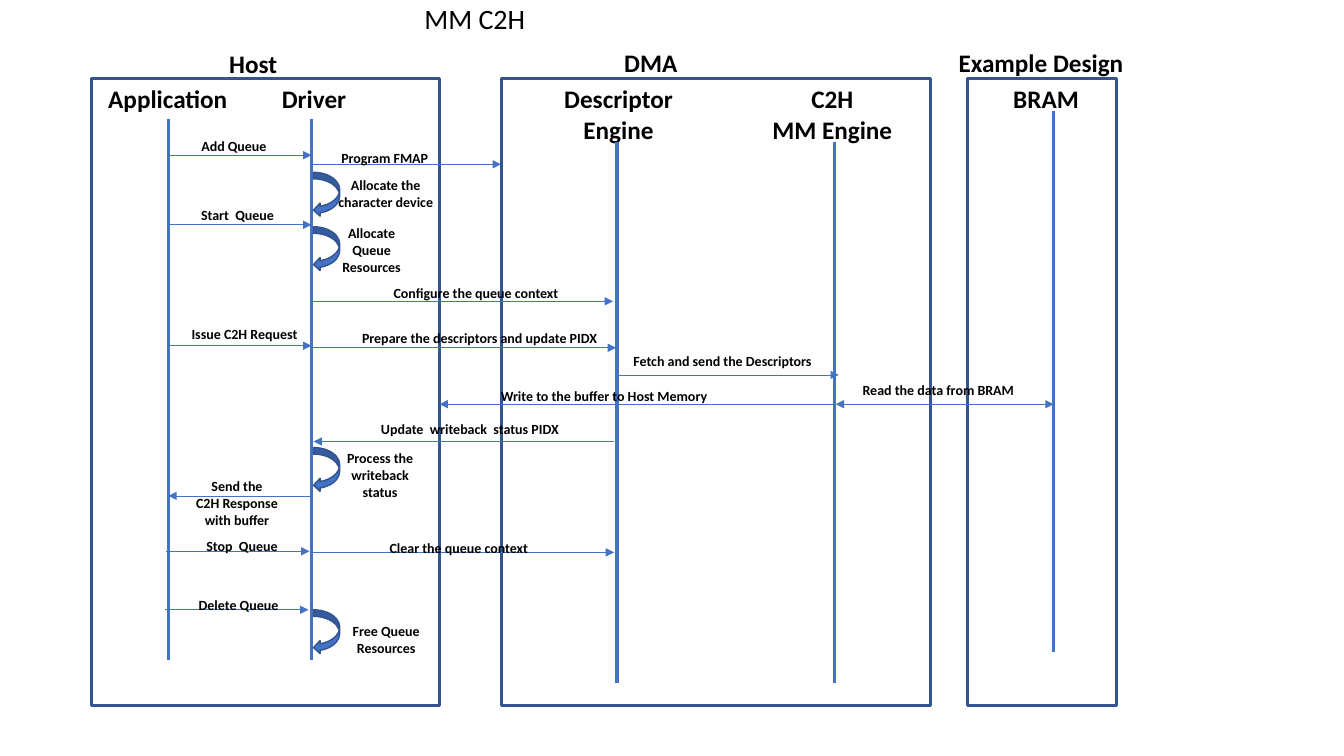
from pptx import Presentation
from pptx.dml.color import RGBColor as Rgb
from pptx.enum.shapes import MSO_CONNECTOR as Conn, MSO_SHAPE as Shape
from pptx.enum.text import MSO_AUTO_SIZE as Fit, PP_ALIGN as Align
from pptx.oxml.ns import qn
from pptx.util import Inches, Pt
from lxml.etree import SubElement as Sub

HUES = {"paper": "FFFFFF", "frame": "325491", "line": "4472C4", "ink": "000000"}
PITCH = {10: 0.17, 18: 0.31, 20: 0.34}
PAD = 0.1

TITLE = ("MM C2H", 4.11, -0.03, 1.38)

FRAME_TOP, FRAME_HIGH = 0.78, 6.22
FRAMES = [
    ("Example Design", 9.6, 1.47, (9.35, 0.42, 1.95)),
    ("Host", 0.91, 3.45, (2.07, 0.43, 0.88)),
    ("DMA", 4.97, 4.26, (5.62, 0.42, 1.67)),
]

LIFE_HIGH = 5.37
LIVES = [
    ("Application", 0.83, 1.67, 1, 1.67, 1.18),
    ("Driver", 2.28, 1.67, 1, 3.09, 1.18),
    ("Descriptor Engine", 5.3, 1.67, 2, 6.12, 1.41),
    ("C2H\nMM Engine", 7.29, 1.93, 2, 8.28, 1.41),
    ("BRAM", 9.41, 1.93, 1, 10.45, 1.1),
]

CALLS = [
    ("Add Queue", 1.88, 1.32, 0.88, 1, (1.67, 3.09, 1.54), "tail"),
    ("Program FMAP", 3.24, 1.43, 1.15, 1, (3.07, 4.97, 1.63), "tail"),
    ("Start  Queue", 1.76, 2, 1.19, 1, (1.67, 3.09, 2.23), "tail"),
    ("Configure the queue context", 3.69, 2.77, 2.06, 1, (3.08, 6.08, 2.99), "tail"),
    ("Issue C2H Request", 1.76, 3.18, 1.33, 1, (1.67, 3.09, 3.43), "tail"),
    ("Prepare the descriptors and update PIDX", 3.41, 3.22, 2.69, 1,
     (3.1, 6.11, 3.45), "tail"),
    ("Fetch and send the Descriptors", 6.09, 3.45, 2.15, 1, (6.13, 8.32, 3.72), "tail"),
    ("Write to the buffer to Host Memory", 4.63, 3.8, 2.72, 1,
     (8.26, 4.36, 4.01), "tail"),
    ("Read the data from BRAM", 8.23, 3.74, 2.15, 1, (8.29, 10.45, 4.01), "head tail"),
    ("Update  writeback  status PIDX", 3.56, 4.12, 2.2, 1, (6.09, 3.11, 4.38), "tail"),
    ("Send the\nC2H Response\nwith buffer", 1.69, 4.69, 1.32, 3,
     (3.09, 1.67, 4.92), "tail"),
    ("Stop  Queue", 1.85, 5.28, 1.1, 1, (1.65, 3.07, 5.47), "tail"),
    ("Clear the queue context", 3.72, 5.3, 1.66, 1, (3.09, 6.09, 5.48), "tail"),
    ("Delete Queue", 1.84, 5.87, 1.05, 1, (1.64, 3.06, 6.05), "tail"),
]

LOOP_LEFT, LOOP_WIDE, LOOP_HIGH = 3.11, 0.26, 0.44
LOOPS = [
    ("Allocate the character device", 3.25, 1.7, 1.15, 2, 1.71),
    ("Allocate Queue Resources", 3.26, 2.18, 0.85, 3, 2.25),
    ("Process the writeback status", 3.33, 4.41, 0.88, 3, 4.44),
    ("Free Queue Resources", 3.39, 6.13, 0.88, 2, 6.05),
]


def hue(name):
    """Return the named colour."""
    return Rgb.from_string(HUES[name])


def block(slide, kind, box, fill, width):
    """Draw a filled and outlined shape."""
    shape = slide.shapes.add_shape(kind, *map(Inches, box))
    shape.shadow.inherit = False
    shape.fill.solid()
    shape.fill.fore_color.rgb = hue(fill)
    shape.line.color.rgb = hue("frame")
    shape.line.width = Pt(width)


def label(slide, text, left, top, width, rows=1, size=10, bold=True, align=Align.CENTER):
    """Write a text box that is as tall as its rows."""
    high = PAD + rows * PITCH[size]
    box = slide.shapes.add_textbox(*map(Inches, (left, top, width, high)))
    frame = box.text_frame
    frame.word_wrap = True
    frame.auto_size = Fit.SHAPE_TO_FIT_TEXT
    frame.text = text
    style = {"name": "Calibri", "size": Pt(size), "bold": bold}
    for para in frame.paragraphs:
        para.alignment = align
        for run in para.runs:
            for key, value in style.items():
                setattr(run.font, key, value)
            run.font.color.rgb = hue("ink")


def stroke(slide, start, end, width, tips=""):
    """Draw a straight line with optional arrow tips."""
    line = slide.shapes.add_connector(Conn.STRAIGHT, *map(Inches, start + end))
    line.line.color.rgb = hue("line")
    line.line.width = Pt(width)
    for tip in tips.split():
        Sub(line.line._get_or_add_ln(), qn(f"a:{tip}End"), type="triangle")
    Sub(line._element.spPr, qn("a:effectLst"))


def main():
    """Build the sequence diagram."""
    deck = Presentation()
    deck.slide_width, deck.slide_height = Inches(13.33), Inches(7.5)
    slide = deck.slides.add_slide(deck.slide_layouts[6])

    for name, left, wide, spot in FRAMES:
        box = (left, FRAME_TOP, wide, FRAME_HIGH)
        block(slide, Shape.RECTANGLE, box, "paper", 2.25)
        label(slide, name, *spot, size=18)
    for name, left, wide, rows, x, top in LIVES:
        label(slide, name, left, FRAME_TOP, wide, rows, size=18)
        stroke(slide, (x, top), (x, top + LIFE_HIGH), 2.25)
    for *spot, (start, end, y), tips in CALLS:
        stroke(slide, (start, y), (end, y), 0.5, tips)
        label(slide, *spot)
    for *spot, top in LOOPS:
        box = (LOOP_LEFT, top, LOOP_WIDE, LOOP_HIGH)
        block(slide, Shape.CURVED_LEFT_ARROW, box, "line", 1)
        label(slide, *spot)
    label(slide, *TITLE, size=20, bold=False, align=Align.LEFT)

    deck.save("out.pptx")


if __name__ == "__main__":
    main()
